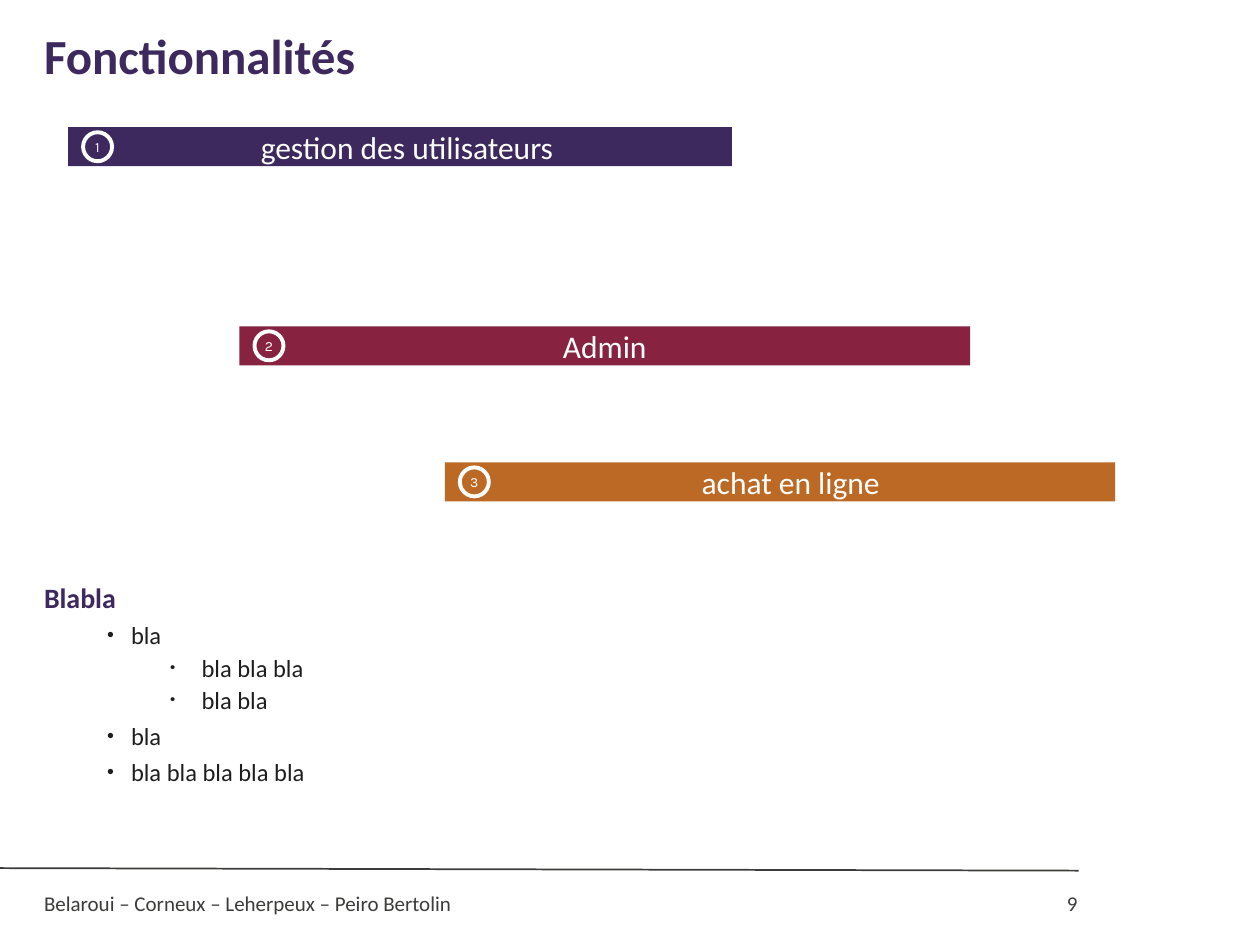
from lxml.etree import SubElement as Sub
from pptx import Presentation
from pptx.dml.color import RGBColor
from pptx.enum.shapes import MSO_CONNECTOR as Conn, MSO_SHAPE as Kind
from pptx.enum.text import MSO_ANCHOR as Anchor, PP_ALIGN as Align
from pptx.oxml.ns import qn
from pptx.util import Inches, Pt

WIDE, HIGH = 10, 7.5
EDGE = 0.35
PLUM, WINE, RUST = "3D295D", "872241", "BC6925"
GREY, INK, WHITE = "3C3C3B", "1E1E1E", "FFFFFF"

TITLE = "Fonctionnalités"
TEAM = "Belaroui – Corneux – Leherpeux – Peiro Bertolin"
PAGE = "9"
# label, colour, left, top, width, extra left inset
BARS = [
    ("gestion des utilisateurs", PLUM, 0.54, 1.01, 5.27, 0.11),
    ("Admin", WINE, 1.9, 2.59, 5.8, 0),
    ("achat en ligne", RUST, 3.53, 3.67, 5.32, 0.17),
]
BAR, DOT, GAP = 0.31, 0.23, 0.12
# text, level
NOTES = [
    ("Blabla", 0),
    ("bla", 1),
    ("bla bla bla", 2),
    ("bla bla", 2),
    ("bla", 1),
    ("bla bla bla bla bla", 1),
]
# by level: font, space before, then left margin, hanging indent, bullet size
LEVELS = [
    (dict(size=16, color=PLUM, bold=True), 15, None),
    (dict(size=14, color=INK), 2, (0.69, -0.19, 80)),
    (dict(size=14, color=INK), 0, (1.25, -0.25, 60)),
]


def rgb(code):
    return RGBColor.from_string(code)


def style(frame, **look):
    for key, val in look.items():
        setattr(frame, key, val)


def inset(frame, left=0.1, top=0.05, right=0.1, base=0.05):
    style(frame, margin_left=Inches(left), margin_top=Inches(top),
          margin_right=Inches(right), margin_bottom=Inches(base))


def write(para, text, size, color, name="Calibri", bold=False):
    run = para.add_run()
    run.text = text
    style(run.font, size=Pt(size), name=name, bold=bold)
    run.font.color.rgb = rgb(color)


def box(slide, *place):
    frame = slide.shapes.add_textbox(*map(Inches, place)).text_frame
    frame.word_wrap = True
    return frame


def block(slide, kind, fill, *place):
    """Add a flat filled shape with centred text."""
    shape = slide.shapes.add_shape(kind, *map(Inches, place))
    shape.shadow.inherit = False
    shape.fill.solid()
    shape.fill.fore_color.rgb = rgb(fill)
    shape.line.fill.background()
    frame = shape.text_frame
    frame.vertical_anchor = Anchor.MIDDLE
    frame.paragraphs[0].alignment = Align.CENTER
    return shape


def bullet(para, left, hang, share):
    props = para._p.get_or_add_pPr()
    props.set("marL", str(Inches(left)))
    props.set("indent", str(Inches(hang)))
    Sub(props, qn("a:buSzPct"), val=str(share * 1000))
    Sub(props, qn("a:buFont"), typeface="Arial")
    Sub(props, qn("a:buChar"), char="•")


def footer(slide):
    line = slide.shapes.add_connector(
        Conn.STRAIGHT, *map(Inches, (0, 6.89, 8.56, 6.91)))
    line.line.width = Pt(1)
    line.line.color.rgb = rgb(GREY)
    Sub(line._element.spPr, qn("a:effectLst"))
    frame = box(slide, EDGE, 7.07, 3.27, 0.2)
    frame.word_wrap = False
    inset(frame, 0, 0, 0, 0)
    write(frame.paragraphs[0], TEAM, 12, GREY)
    para = box(slide, 7.97, 7.02, 0.68, 0.3).paragraphs[0]
    para.alignment = Align.RIGHT
    write(para, PAGE, 12, GREY)


def title(slide):
    frame = box(slide, EDGE, -0.03, 9.44, 1.02)
    frame.vertical_anchor = Anchor.MIDDLE
    inset(frame, 0, 0.02, 0)
    para = frame.paragraphs[0]
    para.line_spacing = 0.9
    write(para, TITLE, 28, PLUM, bold=True)


def notes(slide):
    frame = box(slide, EDGE, 4.53, 9.34, 1.9)
    inset(frame, 0, 0.05, 0)
    for i, (text, level) in enumerate(NOTES):
        para = frame.add_paragraph() if i else frame.paragraphs[0]
        font, before, mark = LEVELS[level]
        style(para, level=level, line_spacing=1.1, space_before=Pt(before))
        if mark:
            bullet(para, *mark)
        write(para, text, **font)


def bars(slide):
    for i, (text, color, left, top, width, shift) in enumerate(BARS, 1):
        bar = block(slide, Kind.RECTANGLE, color, left, top, width, BAR)
        inset(bar.text_frame, 0.1 + shift)
        write(bar.text_frame.paragraphs[0], text, 18, WHITE)
        dot = block(slide, Kind.OVAL, color, left + GAP,
                    top + (BAR - DOT) / 2, DOT, DOT)
        dot.line.color.rgb = rgb(WHITE)
        dot.line.width = Pt(2.25)
        inset(dot.text_frame, 0, 0, 0, 0)
        write(dot.text_frame.paragraphs[0], str(i), 8, WHITE, "Karla")


def main():
    deck = Presentation()
    style(deck, slide_width=Inches(WIDE), slide_height=Inches(HIGH))
    slide = deck.slides.add_slide(deck.slide_layouts[6])
    for part in (footer, notes, title, bars):
        part(slide)
    deck.save("out.pptx")


if __name__ == "__main__":
    main()
